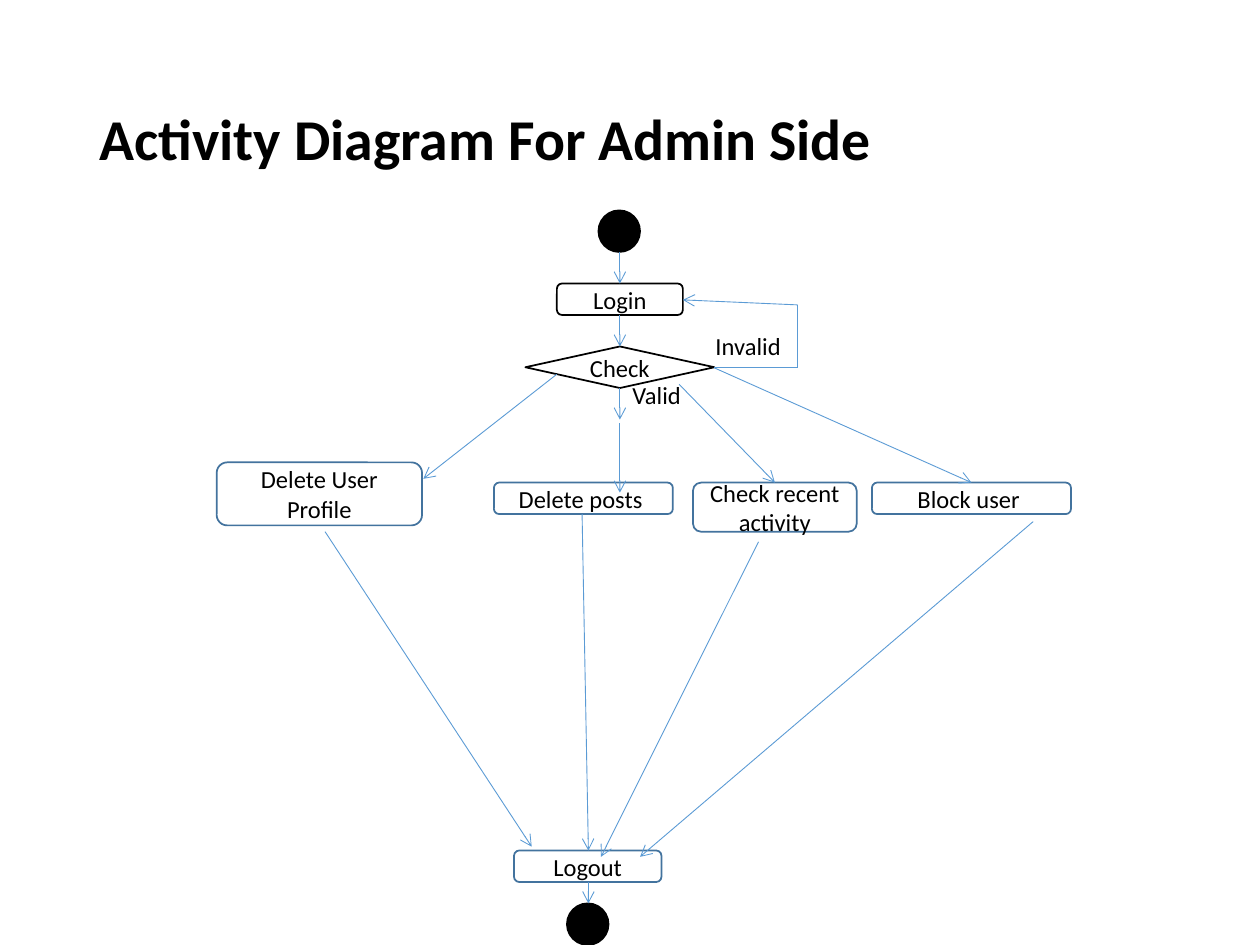
from lxml import etree
from pptx import Presentation
from pptx.dml.color import RGBColor
from pptx.enum.shapes import MSO_CONNECTOR, MSO_SHAPE
from pptx.enum.text import MSO_ANCHOR, PP_ALIGN
from pptx.oxml.ns import qn
from pptx.util import Inches, Pt

ROUNDED = MSO_SHAPE.ROUNDED_RECTANGLE
DIAMOND = MSO_SHAPE.DIAMOND
CIRCLE = MSO_SHAPE.FLOWCHART_CONNECTOR
STRAIGHT = MSO_CONNECTOR.STRAIGHT
MIDDLE = MSO_ANCHOR.MIDDLE
LEFT, CENTER = PP_ALIGN.LEFT, PP_ALIGN.CENTER

BLACK = RGBColor(0x00, 0x00, 0x00)
WHITE = RGBColor(0xFF, 0xFF, 0xFF)
ARROW_BLUE = RGBColor(0x5B, 0x9B, 0xD5)
BORDER_BLUE = RGBColor(0x43, 0x73, 0x9E)
FONT = "Calibri"

# Steps: kind, text, left, top, width, height, border
STEPS = [
    (ROUNDED, "Login", 4.42, 2.25, 1, 0.25, BLACK),
    (DIAMOND, "Check", 4.17, 2.75, 1.5, 0.33, BLACK),
    (ROUNDED, "Delete User Profile", 1.72, 3.67, 1.63, 0.5, BORDER_BLUE),
    (ROUNDED, "Delete posts ", 3.92, 3.83, 1.42, 0.25, BORDER_BLUE),
    (ROUNDED, "Block user ", 6.92, 3.83, 1.58, 0.25, BORDER_BLUE),
    (ROUNDED, "Check recent activity", 5.5, 3.83, 1.3, 0.39, BORDER_BLUE),
    (ROUNDED, "Logout", 4.08, 6.75, 1.17, 0.25, BORDER_BLUE),
]

# Flows: each is a list of points, with the arrowhead at the last one
FLOWS = [
    # Start to check
    [(4.92, 2), (4.92, 2.25)],
    [(4.92, 2.5), (4.92, 2.75)],
    [(4.92, 3.08), (4.92, 3.33)],
    # Invalid login loop
    [(5.67, 2.92), (6.33, 2.92), (6.33, 2.42), (5.42, 2.38)],
    # Check to the admin actions
    [(4.42, 2.97), (3.36, 3.8)],
    [(4.92, 3.36), (4.92, 3.91)],
    [(5.39, 3.05), (6.15, 3.83)],
    [(5.67, 2.92), (7.71, 3.83)],
    # Admin actions to logout
    [(2.58, 4.22), (4.22, 6.72)],
    [(4.62, 4.08), (4.67, 6.75)],
    [(6.02, 4.3), (4.77, 6.8)],
    [(8.2, 4.14), (5.08, 6.8)],
    # Logout to end
    [(4.67, 7), (4.67, 7.17)],
]


def set_text(text_frame, text, size=14, bold=False, alignment=LEFT):
    text_frame.word_wrap = True
    text_frame.text = text
    paragraph = text_frame.paragraphs[0]
    paragraph.alignment = alignment
    font = paragraph.runs[0].font
    font.name, font.size, font.bold = FONT, Pt(size), bold
    font.color.rgb = BLACK
    return paragraph


def add_title(slide, text):
    title = slide.shapes.title
    title.left, title.top = Inches(0.69), Inches(0.4)
    title.width, title.height = Inches(8.62), Inches(1.45)
    title.text_frame.vertical_anchor = MIDDLE
    set_text(title.text_frame, text, 33, True).line_spacing = 0.9


def add_node(slide, kind, left, top, width, height, fill, border):
    shape = slide.shapes.add_shape(
        kind, Inches(left), Inches(top), Inches(width), Inches(height))
    shape.shadow.inherit = False
    shape.fill.solid()
    shape.fill.fore_color.rgb = fill
    shape.line.color.rgb = border
    shape.line.width = Pt(1)
    return shape


def add_step(slide, kind, text, left, top, width, height, border):
    shape = add_node(slide, kind, left, top, width, height, WHITE, border)
    shape.text_frame.vertical_anchor = MIDDLE
    set_text(shape.text_frame, text, alignment=CENTER)


def add_label(slide, text, left, top, width):
    box = slide.shapes.add_textbox(
        Inches(left), Inches(top), Inches(width), Inches(0.34))
    set_text(box.text_frame, text)


def add_line(slide, start, end, arrow):
    points = [Inches(value) for value in (*start, *end)]
    connector = slide.shapes.add_connector(STRAIGHT, *points)
    connector.line.color.rgb = ARROW_BLUE
    connector.line.width = Pt(0.5)
    if arrow:
        line = connector.line._get_or_add_ln()
        etree.SubElement(line, qn("a:tailEnd"), type="arrow")
    etree.SubElement(connector._element.spPr, qn("a:effectLst"))


def add_flow(slide, points):
    last = len(points) - 2
    for index, (start, end) in enumerate(zip(points, points[1:])):
        add_line(slide, start, end, arrow=index == last)


def main():
    presentation = Presentation()
    presentation.slide_width = Inches(10)
    presentation.slide_height = Inches(7.5)
    slide = presentation.slides.add_slide(presentation.slide_layouts[5])
    add_title(slide, "Activity Diagram For Admin Side")

    # Start and end nodes
    for left, top in [(4.75, 1.67), (4.5, 7.17)]:
        add_node(slide, CIRCLE, left, top, 0.33, 0.33, BLACK, BLACK)

    # Steps and branch labels
    for step in STEPS:
        add_step(slide, *step)
    add_label(slide, "Invalid", 5.58, 2.58, 0.83)
    add_label(slide, "Valid", 4.92, 2.97, 0.59)

    # Flows, drawn over the steps
    for points in FLOWS:
        add_flow(slide, points)

    presentation.save("out.pptx")


main()
